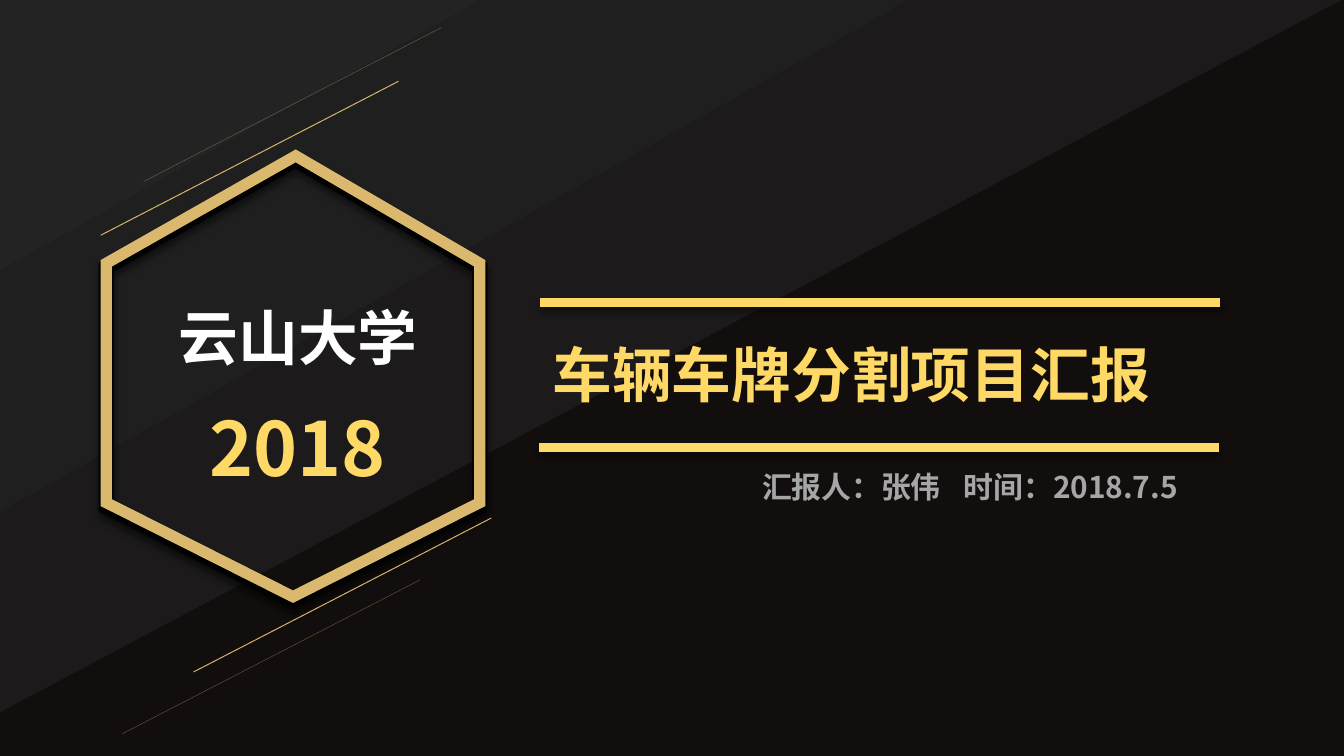
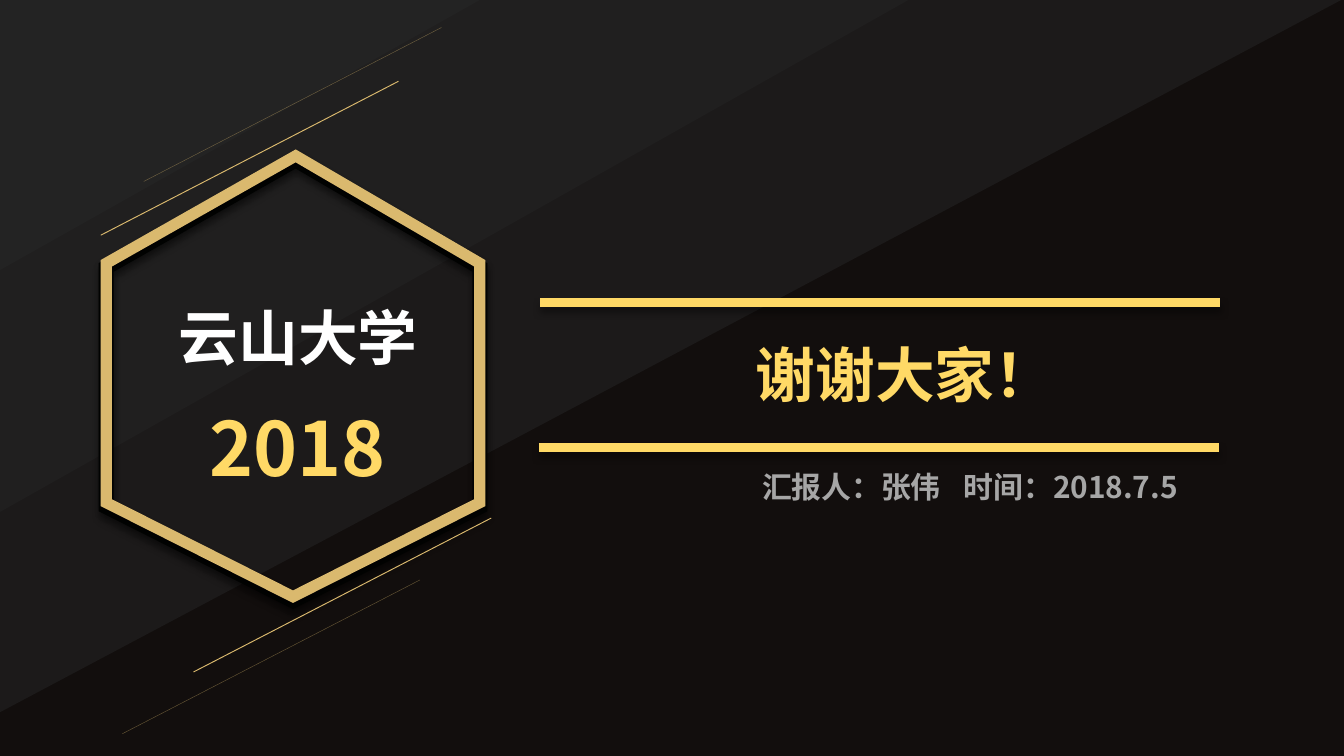
from lxml import etree
from pptx import Presentation
from pptx import util as u
from pptx.dml.color import RGBColor
from pptx.enum import shapes, text
from pptx.oxml.ns import qn

HUES = {
    "back": "120E0D", "band": "232323", "edge": "020302", "gold": "DAB96E",
    "sun": "FFD966", "white": "FFFFFF", "gray": "A6A6A6", "black": "000000",
}
FONT = "Noto Sans CJK SC"
COLS, ROWS = 100, 56.25
BANDS = [(99.8, 53, 60), (67.6, 38.1, 60), (35.7, 20.1, 100)]
HEX = [(22, 11.6), (35.7, 19.6), (35.7, 37.4), (21.8, 44.4), (7.9, 37.4), (7.9, 19.6)]
RAYS = [(14.4, 50, 0.5, 100), (9.1, 54.6, 0.25, 40), (7.5, 17.5, 0.5, 100), (10.7, 13.5, 0.25, 40)]
RUN, RISE = 22.15, 11.45
LEFT, MID = text.PP_ALIGN.LEFT, text.PP_ALIGN.CENTER


def cell(n):
    """Turn grid cells of a tenth of an inch into a length."""
    return u.Inches(n / 10)


def tint(fill, hue):
    """Fill with a named colour."""
    fill.solid()
    fill.fore_color.rgb = RGBColor.from_string(HUES[hue])


def fade(item, share):
    """Set the opacity in percent of every colour of a shape."""
    for node in item.element.spPr.iter(qn("a:srgbClr")):
        etree.SubElement(node, qn("a:alpha"), val=str(share * 1000))


def shade(item, cast=False):
    """Give a shape a soft shadow below, or none."""
    list_ = etree.SubElement(item.element.spPr, qn("a:effectLst"))
    if cast:
        drop = etree.SubElement(list_, qn("a:outerShdw"), blurRad=str(u.Pt(4)),
                                dist=str(u.Pt(3)), dir="5400000", algn="t", rotWithShape="0")
        tone = etree.SubElement(drop, qn("a:srgbClr"), val=HUES["black"])
        etree.SubElement(tone, qn("a:alpha"), val="40000")


def write(item, words, size=32, hue="sun", face=FONT, align=MID, wrap=True, stop=None):
    """Put one formatted paragraph into a shape."""
    frame = item.text_frame
    frame.word_wrap = wrap
    frame.auto_size = text.MSO_AUTO_SIZE.SHAPE_TO_FIT_TEXT
    frame.vertical_anchor = text.MSO_ANCHOR.TOP
    para = frame.paragraphs[0]
    para.alignment, para.space_before = align, u.Pt(0)
    run = para.add_run()
    run.text = words
    font = run.font
    font.size, font.bold, font.name = u.Pt(size), True, face
    tint(font.fill, hue)
    etree.SubElement(font._element, qn("a:ea"), typeface=face)
    if stop:
        tabs = etree.SubElement(para._p.get_or_add_pPr(), qn("a:tabLst"))
        etree.SubElement(tabs, qn("a:tab"), pos=str(cell(stop)), algn="l")


class Deck:
    """Holds the style and the current slide."""

    def __init__(self):
        """Start a wide, dark deck."""
        self.show = Presentation()
        self.show.slide_width, self.show.slide_height = cell(COLS), cell(ROWS)
        tint(self.show.slide_master.background.fill, "back")

    def start(self):
        """Open a new slide."""
        self.slide = self.show.slides.add_slide(self.show.slide_layouts[0])

    def wedge(self, wide, high, share):
        """Draw a corner band as a turned right triangle."""
        shift = (wide - high) / 2
        item = self.slide.shapes.add_shape(
            shapes.MSO_SHAPE.RIGHT_TRIANGLE, cell(shift), cell(-shift), cell(high), cell(wide))
        item.rotation = 90
        tint(item.fill, "band")
        item.line.fill.background()
        fade(item, share)
        shade(item)

    def ring(self, group, drop, hue, width):
        """Draw the hexagon outline."""
        spots = [(cell(x), cell(y + drop)) for x, y in HEX]
        form = group.shapes.build_freeform(*spots[0], scale=1.0)
        form.add_line_segments(spots[1:], close=True)
        item = form.convert_to_shape()
        item.fill.background()
        tint(item.line.fill, hue)
        item.line.width = u.Pt(width)
        etree.SubElement(item.line._get_or_add_ln(), qn("a:miter"), lim="800000")
        shade(item, True)

    def line(self, x, y, run, rise, hue, width, share=100, cast=False):
        """Draw a straight line from a point."""
        item = self.slide.shapes.add_connector(
            shapes.MSO_CONNECTOR.STRAIGHT, cell(x), cell(y), cell(x + run), cell(y - rise))
        tint(item.line.fill, hue)
        item.line.width = u.Pt(width)
        fade(item, share)
        shade(item, cast)

    def label(self, words, x, y, wide, high, **form):
        """Add a text box."""
        box = self.slide.shapes.add_textbox(cell(x), cell(y), cell(wide), cell(high))
        write(box, words, **form)

    def holder(self, slot, words, x, y, wide, high, **form):
        """Move a placeholder to the front and fill it."""
        item = self.slide.placeholders[slot]
        item.left, item.top, item.width, item.height = map(cell, (x, y, wide, high))
        self.slide.shapes.element.append(item.element)
        write(item, words, **form)

    def cover(self, title, align):
        """Build a slide with the badge, the title and the byline."""
        self.start()
        for band in BANDS:
            self.wedge(*band)
        badge = self.slide.shapes.add_group_shape()
        self.ring(badge, 0.3, "edge", 8)
        self.ring(badge, 0, "gold", 6)
        for x, y in ((40.2, 22.5), (40.1, 33.3)):
            self.line(x, y, 50.6, 0, "sun", 4.5, cast=True)
        self.holder(0, title, 40.1, 24.6, 54.5, 6.4, align=align)
        self.label("云山大学", 9.5, 21.9, 25.4, 6.4, hue="white", face="Arial")
        self.label("2018", 13.4, 29.4, 17.5, 7.7, size=40, wrap=False)
        for x, y, width, share in RAYS:
            self.line(x, y, RUN, RISE, "gold", width, share)
        self.holder(1, "汇报人：张伟\t时间：2018.7.5", 55.7, 34.4, 39.3, 3.7,
                    size=16, hue="gray", align=LEFT, stop=14.8)


def main():
    """Build and save the deck."""
    deck = Deck()
    deck.cover("车辆车牌分割项目汇报", LEFT)
    deck.cover("谢谢大家！", MID)
    deck.show.save("out.pptx")


if __name__ == "__main__":
    main()
